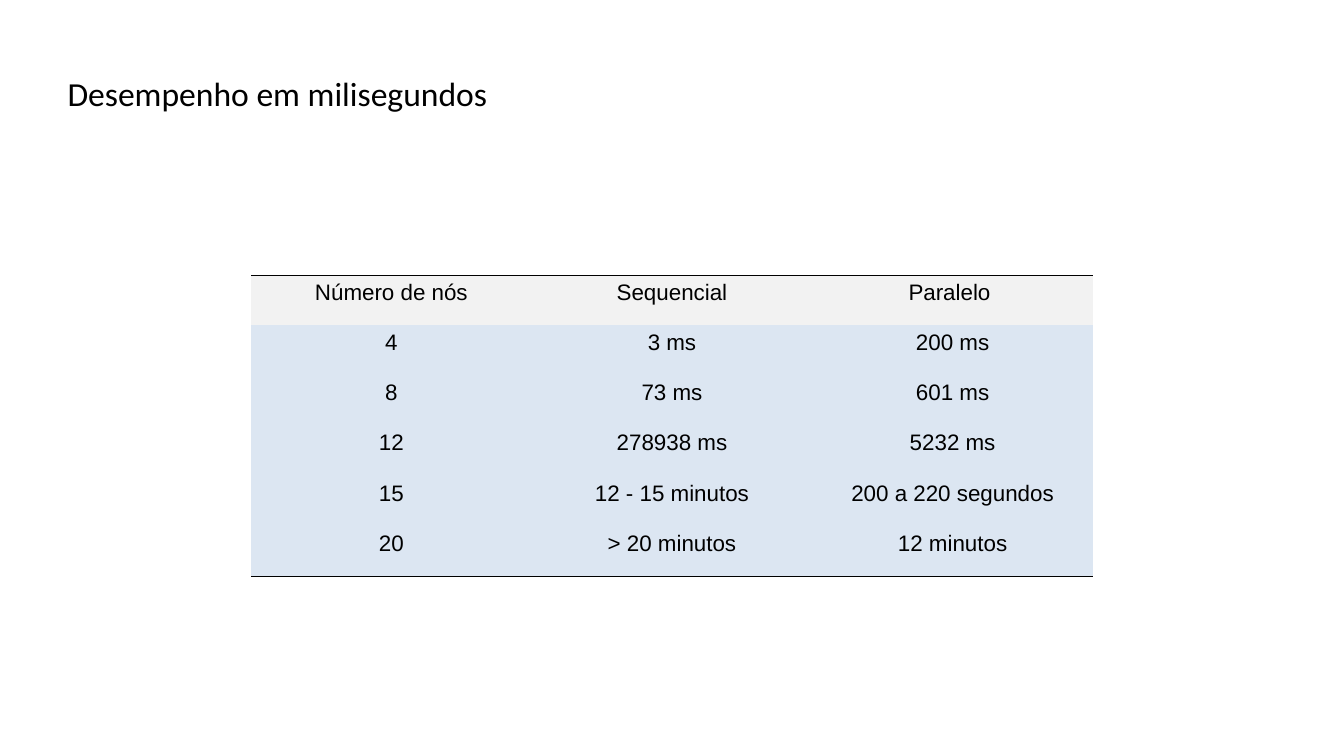
from lxml.etree import SubElement
from pptx import Presentation
from pptx.dml.color import RGBColor
from pptx.enum.text import MSO_ANCHOR as ANCHOR, PP_ALIGN as ALIGN
from pptx.oxml import parse_xml
from pptx.oxml.ns import nsdecls, qn
from pptx.util import Inches, Pt

TITLE = "Desempenho em milisegundos"
ROWS = [
    ("Número de nós", "Sequencial", "Paralelo "),
    ("4", "3 ms", "200 ms"),
    ("8", "73 ms", "601 ms"),
    ("12", "278938 ms", "5232 ms"),
    ("15", "12 - 15 minutos", "200 a 220 segundos"),
    ("20", "> 20 minutos", "12 minutos"),
]
COLORS = {"text": "000000", "rule": "000000", "header": "F2F2F2", "body": "DCE6F2"}
LEFT, TOP, WIDTH, HEIGHT = 2.49, 2.73, 8.35, 2.99


def write(tf, text, size, font, align=ALIGN.LEFT):
    """Put one formatted run into a text frame."""
    p = tf.paragraphs[0]
    p.alignment = align
    r = p.add_run()
    r.text = text
    r.font.size = Pt(size)
    r.font.name = font
    r.font.color.rgb = RGBColor.from_string(COLORS["text"])


def set_borders(cell, ruled):
    """Draw a thin rule on the named sides and clear the other sides."""
    tc_pr = cell._tc.get_or_add_tcPr()
    for i, side in enumerate("LRTB"):
        ln = parse_xml(f'<a:ln{side} {nsdecls("a")} w="{Pt(1)}"/>')
        if side in ruled:
            fill = SubElement(ln, qn("a:solidFill"))
            SubElement(fill, qn("a:srgbClr"), val=COLORS["rule"])
        else:
            SubElement(ln, qn("a:noFill"))
        tc_pr.insert(i, ln)


def add_title(slide):
    """Add the slide heading."""
    tf = slide.shapes.add_textbox(Inches(0.67), Inches(0.3), Inches(12), Inches(1.25)).text_frame
    tf.word_wrap = True
    tf.vertical_anchor = ANCHOR.MIDDLE
    tf.margin_left = tf.margin_right = tf.margin_top = tf.margin_bottom = 0
    write(tf, TITLE, 24, "Calibri")


def add_timings(slide):
    """Add the timing table, ruled above the header and below the last row."""
    table = slide.shapes.add_table(len(ROWS), len(ROWS[0]), Inches(LEFT), Inches(TOP),
                                   Inches(WIDTH), Inches(HEIGHT)).table
    table.first_row = table.horz_banding = False
    last = len(ROWS) - 1
    for i, row in enumerate(ROWS):
        for j, text in enumerate(row):
            cell = table.cell(i, j)
            write(cell.text_frame, text, 16, "Arial", ALIGN.CENTER)
            cell.fill.solid()
            cell.fill.fore_color.rgb = RGBColor.from_string(COLORS["body" if i else "header"])
            set_borders(cell, {0: "T", last: "B"}.get(i, ""))


prs = Presentation()
prs.slide_width, prs.slide_height = Inches(13.33), Inches(7.5)
slide = prs.slides.add_slide(prs.slide_layouts[6])
add_title(slide)
add_timings(slide)
prs.save("out.pptx")
